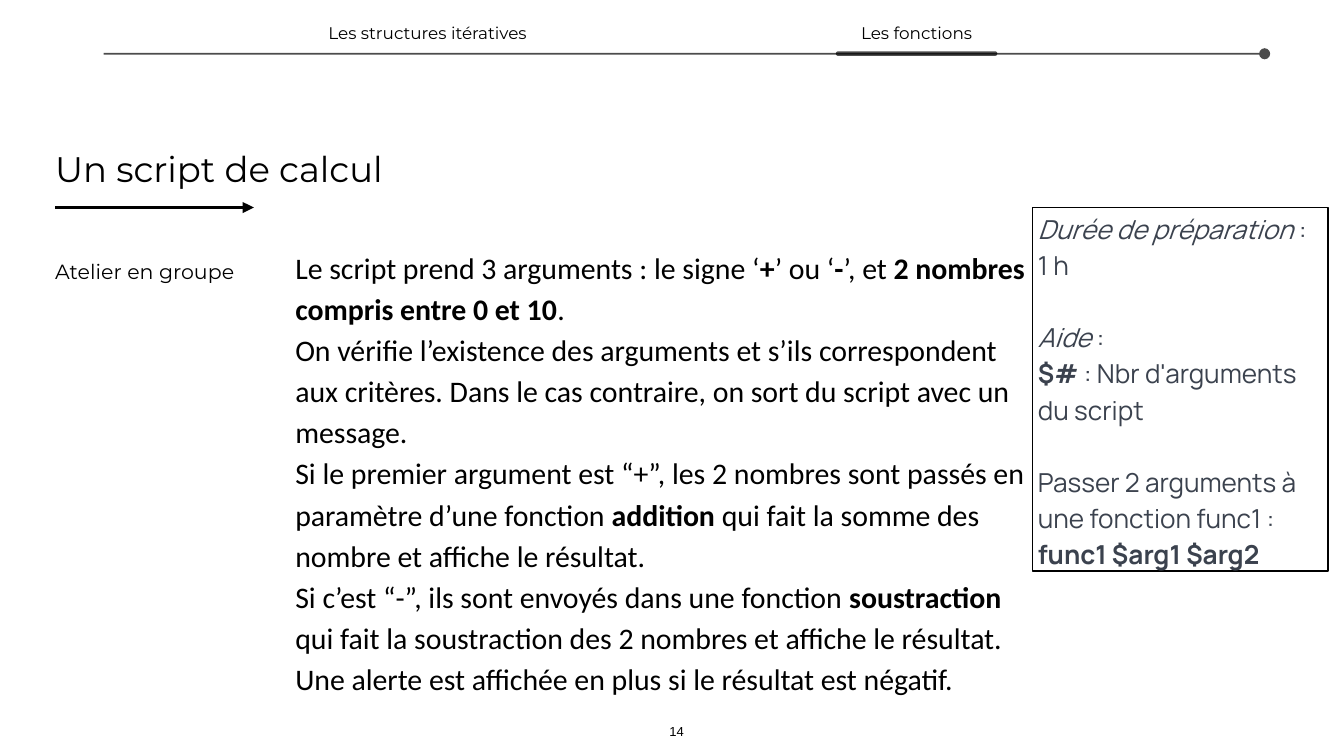
from lxml.etree import SubElement
from pptx import Presentation
from pptx.dml.color import RGBColor
from pptx.enum.shapes import MSO_CONNECTOR, MSO_SHAPE
from pptx.enum.text import MSO_ANCHOR, PP_ALIGN
from pptx.oxml.ns import qn
from pptx.util import Pt

BLACK = RGBColor(0x00, 0x00, 0x00)
SLATE = RGBColor(0x3B, 0x42, 0x4E)
HEADING_FONT = "Montserrat"
BODY_FONT = "Calibri"
HELP_FONT = "Manrope"
NUMBER_FONT = "Arial"

TAB_TOP, TAB_WIDTH, TAB_HEIGHT = 10.8, 200, 13.7
TABS = [("Les structures itératives", 229), ("Les fonctions", 491)]

# A paragraph is a list of (text, style) runs: "b" is bold, "i" italic.
INSTRUCTIONS = [
    [("Le script prend 3 arguments : le signe ‘", ""), ("+", "b"), ("’ ou ‘", ""),
     ("-", "b"), ("’, et ", ""), ("2 nombres compris entre 0 et 10", "b"), (".", "")],
    [("On vérifie l’existence des arguments et s’ils correspondent aux critères. "
      "Dans le cas contraire, on sort du script avec un message.", "")],
    [("Si le premier argument est “+”, les 2 nombres sont passés en paramètre "
      "d’une fonction ", ""), ("addition", "b"),
     (" qui fait la somme des nombre et affiche le résultat.", "")],
    [("Si c’est “-”, ils sont envoyés dans une fonction ", ""), ("soustraction", "b"),
     (" qui fait la soustraction des 2 nombres et affiche le résultat. "
      "Une alerte est affichée en plus si le résultat est négatif.", "")],
]

HELP_GROUPS = [
    [[("Durée de préparation", "i"), (" :", "")], [("1 h", "")]],
    [[("Aide ", "i"), (":", "")],
     [("$#", "b"), (" : Nbr d'arguments du script", "")]],
    [[("Passer 2 arguments à une fonction func1 :", "")],
     [("func1 $arg1 $arg2", "b")]],
]
HELP_GAP = 19.3


def set_alpha(fill, percent):
    color = fill._xPr.find(qn("a:solidFill"))[0]
    SubElement(color, qn("a:alpha"), val=str(percent * 1000))


class SlideBuilder:
    """Holds the shared style and the slide being filled."""

    color = BLACK
    line_spacing = 1.15

    def __init__(self, slide):
        self.slide = slide

    def frame(self, shape, inset, anchor=MSO_ANCHOR.MIDDLE):
        tf = shape.text_frame
        tf.word_wrap = True
        tf.vertical_anchor = anchor
        tf.margin_left = tf.margin_right = Pt(inset)
        tf.margin_top = tf.margin_bottom = Pt(inset)
        return tf

    def format(self, p, font, size, color=None, align=PP_ALIGN.LEFT):
        p.alignment = align
        p.font.name = font
        p.font.size = Pt(size)
        p.font.color.rgb = color or self.color

    def title(self, text, x, y, w, h, size):
        s = self.slide.shapes.title
        s.left, s.top, s.width, s.height = Pt(x), Pt(y), Pt(w), Pt(h)
        tf = self.frame(s, 1.5)
        tf.text = text
        self.format(tf.paragraphs[0], HEADING_FONT, size)

    def label(self, text, x, y, w, h, size, font=HEADING_FONT,
              align=PP_ALIGN.LEFT, anchor=MSO_ANCHOR.MIDDLE):
        s = self.slide.shapes.add_textbox(Pt(x), Pt(y), Pt(w), Pt(h))
        tf = self.frame(s, 1.5, anchor)
        tf.text = text
        self.format(tf.paragraphs[0], font, size, align=align)

    def rich_text(self, shape, groups, font, size, color=None, gap=0):
        """Write groups of paragraphs, with a gap before each later group."""
        tf = self.frame(shape, 3)
        p = None
        for group in groups:
            for i, runs in enumerate(group):
                later_group = p is not None and i == 0
                p = tf.paragraphs[0] if p is None else tf.add_paragraph()
                self.format(p, font, size, color)
                p.line_spacing = self.line_spacing
                if later_group:
                    p.space_before = Pt(gap)
                for text, style in runs:
                    r = p.add_run()
                    r.text = text
                    if style:
                        r.font.bold = style == "b"
                        r.font.italic = style == "i"

    def body(self, paragraphs, x, y, w, h, size):
        s = self.slide.shapes.add_textbox(Pt(x), Pt(y), Pt(w), Pt(h))
        self.rich_text(s, [paragraphs], BODY_FONT, size)

    def help_box(self, groups, x, y, w, h, size):
        s = self.slide.shapes.add_shape(MSO_SHAPE.RECTANGLE, Pt(x), Pt(y), Pt(w), Pt(h))
        s.shadow.inherit = False
        s.fill.background()
        s.line.color.rgb = self.color
        s.line.width = Pt(0.75)
        self.rich_text(s, groups, HELP_FONT, size, SLATE, HELP_GAP)

    def rule(self, x1, x2, y, width, end, alpha=None):
        """Draw a horizontal line with a mark at its right end."""
        s = self.slide.shapes.add_connector(
            MSO_CONNECTOR.STRAIGHT, Pt(x1), Pt(y), Pt(x2), Pt(y))
        s.line.color.rgb = self.color
        s.line.width = Pt(width)
        if alpha:
            set_alpha(s.line.fill, alpha)
        SubElement(s.line._get_or_add_ln(), qn("a:tailEnd"), type=end)
        SubElement(s._element.spPr, qn("a:effectLst"))

    def marker(self, x, y, w, h, alpha):
        s = self.slide.shapes.add_shape(
            MSO_SHAPE.ROUNDED_RECTANGLE, Pt(x), Pt(y), Pt(w), Pt(h))
        s.adjustments[0] = 0.5
        s.shadow.inherit = False
        s.line.fill.background()
        s.fill.solid()
        s.fill.fore_color.rgb = self.color
        set_alpha(s.fill._xPr and s.fill, alpha)


def main():
    prs = Presentation()
    prs.slide_width, prs.slide_height = Pt(720), Pt(405)
    b = SlideBuilder(prs.slides.add_slide(prs.slide_layouts[5]))

    b.rule(29.5, 136, 111.2, 2, "triangle")
    b.title("Un script de calcul", 28, 77.3, 474, 26, 19)
    b.label("Atelier en groupe", 28, 137, 104, 16.5, 11)
    b.body(INSTRUCTIONS, 155.2, 114.5, 397.5, 275, 16)
    b.label("14", 354.2, 386, 16.5, 11.5, 7, NUMBER_FONT,
            PP_ALIGN.CENTER, MSO_ANCHOR.BOTTOM)
    b.rule(55.5, 677.5, 28.8, 1, "oval", 70)
    b.help_box(HELP_GROUPS, 553, 111, 158.4, 195, 14)
    for text, x in TABS:
        b.label(text, x - 100 if x > 600 else x - 100, TAB_TOP, TAB_WIDTH,
                TAB_HEIGHT, 9, align=PP_ALIGN.CENTER)
    b.marker(447.8, 27.5, 86.5, 2.5, 69)

    prs.save("out.pptx")


if __name__ == "__main__":
    main()
